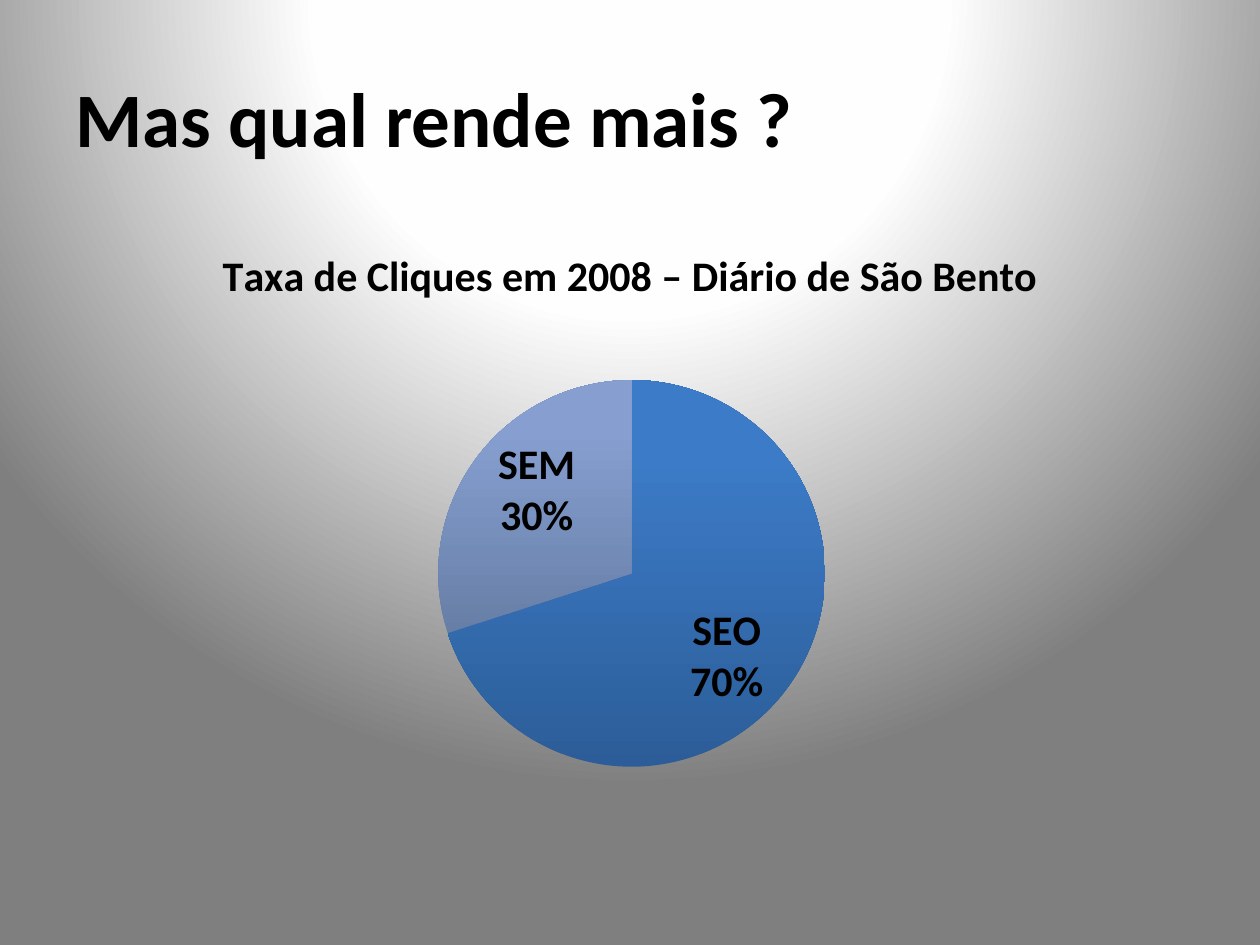
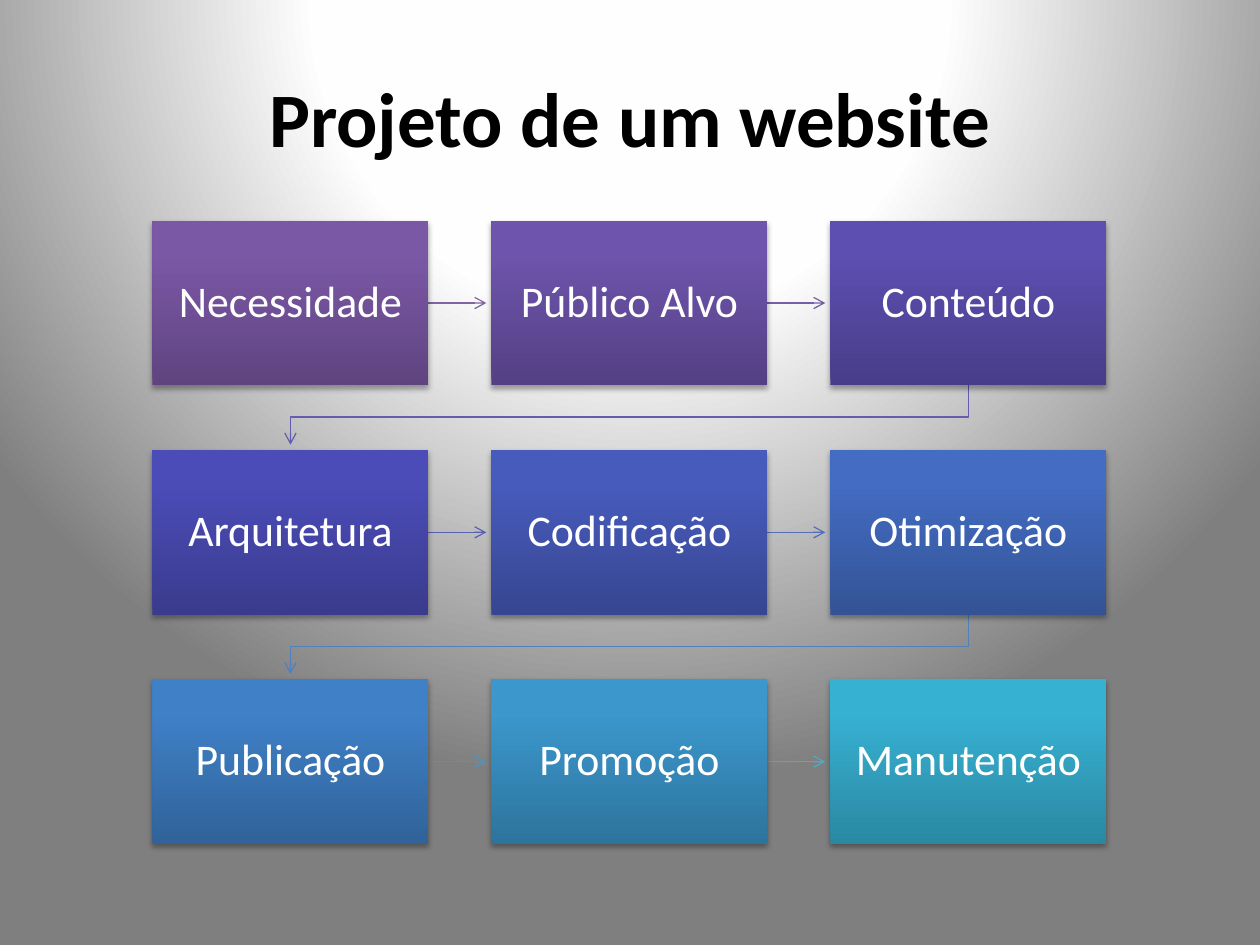
import pptx
import pptx.chart.data
import pptx.dml.color
import pptx.enum.chart
import pptx.enum.shapes
import pptx.enum.text
import pptx.oxml
import pptx.oxml.ns
import pptx.util

Inches = pptx.util.Inches
Pt = pptx.util.Pt
ALIGN = pptx.enum.text.PP_ALIGN
NS = pptx.oxml.ns.nsdecls("a", "c", "p")
FONT = "Calibri"
BLACK, WHITE = "000000", "FFFFFF"
CONTENT = (0.5, 1.75, 9, 4.95)
STEPS = [
    ("Necessidade", "5F4480", "7B58A6", "8064A2"),
    ("Público Alvo", "544084", "6E54AC", "7460A7"),
    ("Conteúdo", "483D89", "5D4FB1", "645DAD"),
    ("Arquitetura", "3A3B8D", "4B4CB7", "5960B2"),
    ("Codificação", "374691", "475BBC", "556EB7"),
    ("Otimização", "335395", "436CC2", "5280BC"),
    ("Publicação", "306399", "3F80C7", "4E94C1"),
    ("Promoção", "2D749D", "3B97CC", "4BACC6"),
    ("Manutenção", "2A88A2", "37B1D2", None),
]


def rgb(value):
    return pptx.dml.color.RGBColor.from_string(value)


def xml(text):
    head, tail = text.split(">", 1)
    if head.endswith("/"):
        return pptx.oxml.parse_xml(f"{head[:-1]} {NS}/>{tail}")
    return pptx.oxml.parse_xml(f"{head} {NS}>{tail}")


def style_font(font, size, color, bold=False):
    font.name, font.size, font.bold = FONT, Pt(size), bold
    font.color.rgb = rgb(color)


def write(tf, text, size, color=BLACK, bold=False, align=ALIGN.LEFT, spacing=None, inset=None):
    tf.word_wrap = True
    tf.vertical_anchor = pptx.enum.text.MSO_ANCHOR.MIDDLE
    if inset is not None:
        tf.margin_left = tf.margin_right = tf.margin_top = tf.margin_bottom = Inches(inset)
    p = tf.paragraphs[0]
    p.alignment, p.line_spacing = align, spacing
    r = p.add_run()
    r.text = text
    style_font(r.font, size, color, bold)


def shade(fill, bottom, top):
    fill.gradient()
    fill.gradient_angle = 90
    for stop, position, color in zip(fill.gradient_stops, (0, 0.8), (bottom, top)):
        stop.position = position
        stop.color.rgb = rgb(color)


def set_background(master):
    stops = "".join(
        f'<a:gs pos="{pos}000"><a:srgbClr val="{color}"/></a:gs>'
        for pos, color in ((0, WHITE), (40, "FEFEFE"), (100, "7F7F7F"))
    )
    master.background.fill.solid()
    solid = master.element.xpath("./p:cSld/p:bg/p:bgPr/a:solidFill")[0]
    solid.getparent().replace(solid, xml(
        f'<a:gradFill rotWithShape="1"><a:gsLst>{stops}</a:gsLst><a:path path="circle">'
        '<a:fillToRect l="50000" t="-80000" r="50000" b="180000"/></a:path></a:gradFill>'
    ))


def add_slide(prs, title, align=ALIGN.LEFT):
    s = prs.slides.add_slide(prs.slide_layouts[6])
    sp = s.shapes.add_textbox(Inches(0.5), Inches(0.3), Inches(9), Inches(1.25))
    write(sp.text_frame, title, 44, bold=True, align=align)
    return s


def add_click_chart(s, left, top, width, height):
    data = pptx.chart.data.CategoryChartData()
    data.categories = ["SEO", "SEM"]
    data.add_series("Series 1", (70, 30))
    chart = s.shapes.add_chart(
        pptx.enum.chart.XL_CHART_TYPE.PIE,
        Inches(left), Inches(top), Inches(width), Inches(height), data,
    ).chart
    style_font(chart.font, 18, BLACK)
    chart.has_legend = False
    chart.has_title = True
    write(chart.chart_title.text_frame, "Taxa de Cliques em 2008 – Diário de São Bento",
          24, bold=True, align=ALIGN.CENTER)
    plot = chart.plots[0]
    plot.vary_by_categories = True
    for i, colors in enumerate((("2C5D98", "3C7BC7"), ("677EA6", "869FD0"))):
        shade(plot.series[0].points[i].format.fill, *colors)
    plot.has_data_labels = True
    labels = plot.data_labels
    labels.show_percentage = labels.show_category_name = True
    labels.show_value = False
    labels.position = pptx.enum.chart.XL_LABEL_POSITION.BEST_FIT
    style_font(labels.font, 24, BLACK, True)
    chart.element.xpath(".//c:dLbls/c:showBubbleSize")[0].addnext(
        xml("<c:separator>\n</c:separator>"))
    area = chart.element.xpath(".//c:plotArea")[0]
    for layout in area.xpath("./c:layout"):
        area.remove(layout)
    area.insert(0, xml(
        '<c:layout><c:manualLayout><c:layoutTarget val="inner"/>'
        '<c:xMode val="edge"/><c:yMode val="edge"/><c:x val="0.331"/><c:y val="0.256"/>'
        '<c:w val="0.341"/><c:h val="0.62"/></c:manualLayout></c:layout>'
    ))


def add_step(s, text, bottom, top, box):
    sp = s.shapes.add_shape(pptx.enum.shapes.MSO_SHAPE.RECTANGLE, *map(Inches, box))
    shade(sp.fill, bottom, top)
    sp.line.fill.background()
    sp.shadow.inherit = False
    sp.element.xpath("./p:spPr/a:effectLst")[0].append(xml(
        '<a:outerShdw blurRad="40000" dist="23000" dir="5400000" rotWithShape="0">'
        '<a:srgbClr val="000000"><a:alpha val="35000"/></a:srgbClr></a:outerShdw>'
    ))
    write(sp.text_frame, text, 25, WHITE, align=ALIGN.CENTER, spacing=0.9, inset=0.19)


def add_arrow(s, points, color):
    points = [(Inches(x), Inches(y)) for x, y in points]
    if len(points) == 2:
        sp = s.shapes.add_connector(
            pptx.enum.shapes.MSO_CONNECTOR.STRAIGHT, *points[0], *points[1])
    else:
        builder = s.shapes.build_freeform(*points[0], scale=1.0)
        builder.add_line_segments(points[1:], close=False)
        sp = builder.convert_to_shape()
        sp.fill.background()
    sp.line.color.rgb = rgb(color)
    sp.line.width = Pt(0.75)
    sp.element.xpath("./p:spPr/a:ln")[0].append(xml('<a:tailEnd type="arrow"/>'))
    sp.element.xpath("./p:spPr")[0].append(xml("<a:effectLst/>"))


def add_step_flow(s, left, top, width, height):
    columns, box_w, box_h, gap = 3, 2.19, 1.31, 0.04
    step_x = (width - box_w) / (columns - 1)
    step_y = (height - box_h) / (len(STEPS) // columns - 1)
    for i, (text, dark, light, arrow) in enumerate(STEPS):
        row, col = divmod(i, columns)
        x, y = left + col * step_x, top + row * step_y
        if arrow and col < columns - 1:
            mid = y + box_h / 2
            add_arrow(s, [(x + box_w, mid), (x + step_x - gap, mid)], arrow)
        elif arrow:
            start, end = x + box_w / 2, left + box_w / 2
            bottom, turn = y + box_h, y + box_h + 0.25
            add_arrow(s, [(start, bottom), (start, turn), (end, turn),
                          (end, y + step_y - gap)], arrow)
        add_step(s, text, dark, light, (x, y, box_w, box_h))


def main():
    prs = pptx.Presentation()
    prs.slide_width, prs.slide_height = Inches(10), Inches(7.5)
    set_background(prs.slide_master)
    add_click_chart(add_slide(prs, "Mas qual rende mais ?"), *CONTENT)
    add_step_flow(add_slide(prs, "Projeto de um website", ALIGN.CENTER), 1.21, 1.75, 7.57, 4.95)
    prs.save("out.pptx")


if __name__ == "__main__":
    main()
